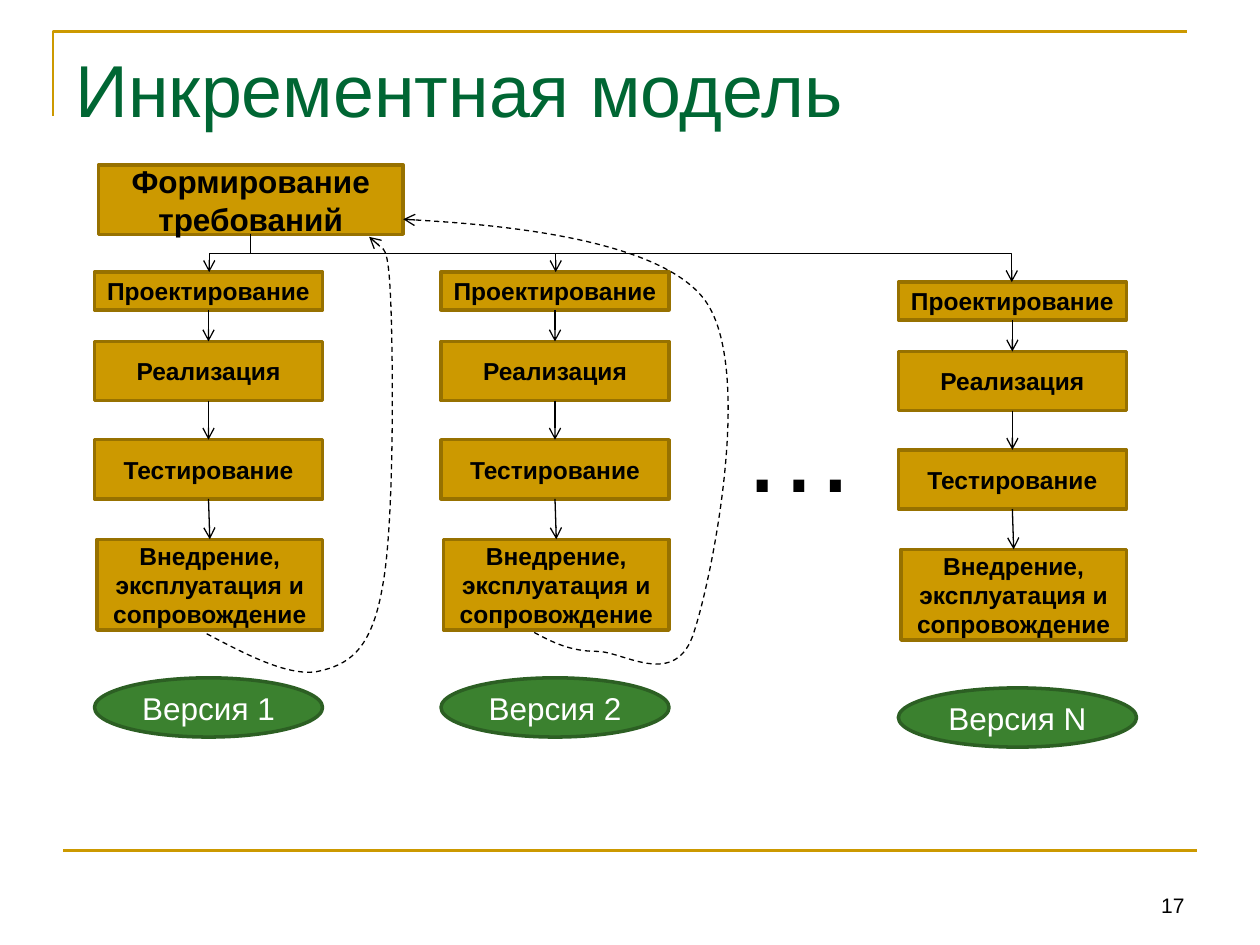
from itertools import pairwise
from lxml.etree import SubElement
from pptx import Presentation
from pptx.dml.color import RGBColor
from pptx.enum.dml import MSO_LINE
from pptx.enum.shapes import MSO_CONNECTOR, MSO_SHAPE
from pptx.enum.text import MSO_ANCHOR, MSO_AUTO_SIZE, PP_ALIGN
from pptx.oxml.ns import qn
from pptx.util import Inches, Pt

GOLD, EDGE, BLACK = "CC9900", "977100", "000000"
GREEN, RIM, WHITE = "3B812F", "2C5F23", "FFFFFF"

deck = Presentation()
deck.slide_width, deck.slide_height = Inches(10), Inches(7.5)
UNIT = deck.slide_width / 10  # grid of 10 columns by 7.5 rows
slide = deck.slides.add_slide(deck.slide_layouts[5])
shapes = slide.shapes


def grid(*nums):
    return [round(n * UNIT) for n in nums]


def paint(target, tone):
    target.rgb = RGBColor.from_string(tone)


def write(shape, text, size, tone=BLACK, bold=False,
          align=PP_ALIGN.LEFT, anchor=MSO_ANCHOR.TOP):
    frame = shape.text_frame
    frame.word_wrap, frame.auto_size = True, MSO_AUTO_SIZE.NONE
    frame.vertical_anchor = anchor
    frame.text = text
    para = frame.paragraphs[0]
    para.alignment = align
    font = para.runs[0].font
    font.name, font.size, font.bold = "Arial", Pt(size), bold
    paint(font.color, tone)


def stroke(shape, tone=BLACK, width=0.75, arrow=False, dash=False):
    paint(shape.line.color, tone)
    shape.line.width = Pt(width)
    if dash:
        shape.line.dash_style = MSO_LINE.DASH
    if arrow:
        SubElement(shape.line._get_or_add_ln(), qn("a:tailEnd"), type="arrow")


def block(box, text, size=14, kind=MSO_SHAPE.RECTANGLE,
          fill=GOLD, edge=EDGE, tone=BLACK, bold=True):
    shape = shapes.add_shape(kind, *grid(*box))
    shape.shadow.inherit = False
    shape.fill.solid()
    paint(shape.fill.fore_color, fill)
    stroke(shape, edge, 2)
    frame = shape.text_frame
    frame.margin_left = frame.margin_right = Inches(0.05)
    frame.margin_top = frame.margin_bottom = 0
    write(shape, text, size, tone, bold, PP_ALIGN.CENTER, MSO_ANCHOR.MIDDLE)


def link(x1, y1, x2, y2, kind=MSO_CONNECTOR.STRAIGHT,
         tone=BLACK, width=0.75, arrow=True):
    line = shapes.add_connector(kind, *grid(x1, y1, x2, y2))
    stroke(line, tone, width, arrow)
    SubElement(line._element.spPr, qn("a:effectLst"))
    return line


def elbow(x1, y1, x2, y2):
    """Down, across and down again: a turned elbow connector."""
    mx, my = (x1 + x2) / 2, (y1 + y2) / 2
    dx, dy = abs(x2 - x1) / 2, (y2 - y1) / 2
    line = link(mx - dy, my - dx, mx + dy, my + dx, MSO_CONNECTOR.ELBOW)
    xfrm = line._element.spPr.find(qn("a:xfrm"))
    xfrm.set("rot", str((270 if x2 > x1 else 90) * 60000))
    if x2 > x1:
        xfrm.set("flipH", "1")


def outline(points):
    start, *rest = [grid(*point) for point in points]
    pen = shapes.build_freeform(*start)
    pen.add_line_segments(rest, close=False)
    shape = pen.convert_to_shape()
    shape.shadow.inherit = False
    shape.fill.background()
    return shape


def curve(points):
    """Each three points after the first make one Bezier segment."""
    shape = outline(points)
    track = next(shape._element.iter(qn("a:path")))
    steps = track.findall(qn("a:lnTo"))
    for i in range(0, len(steps), 3):
        bend = SubElement(track, qn("a:cubicBezTo"))
        for step in steps[i:i + 3]:
            bend.append(step[0])
            track.remove(step)
    stroke(shape, arrow=True, dash=True)


def border(x, y, w, h):
    stroke(outline([(x, y + 0.67), (x, y), (x + w, y)]), GOLD, 1.5)
    link(x + 0.08, y + h, x + 0.08 + w, y + h,
         tone=GOLD, width=1.5, arrow=False)


def heading(x, y, w, h, text):
    title = shapes.title
    title.left, title.top, title.width, title.height = grid(x, y, w, h)
    write(title, text, 42, "006633")


def label(x, y, w, h, text, size, **look):
    write(shapes.add_textbox(*grid(x, y, w, h)), text, size, **look)


STEPS = [  # left, top, height, text
    (0, 0, 0.3, "Проектирование"),
    (0, 0.55, 0.47, "Реализация"),
    (0, 1.33, 0.47, "Тестирование"),
    (0.02, 2.12, 0.72, "Внедрение, эксплуатация и сопровождение"),
]


def version(x, y, w, name, wide):
    for left, top, high, text in STEPS:
        block((x + left, y + top, w - left, high), text)
    block((x, y + 3.22, wide, 0.47), name, 18, MSO_SHAPE.OVAL,
          GREEN, RIM, WHITE, False)
    for (l1, top, high, _), (l2, low, _, _) in pairwise(STEPS):
        link(x + (w + l1) / 2, y + top + high, x + (w + l2) / 2, y + low)


# Frame, title and page number
border(0.42, 0.25, 9, 6.5)
heading(0.5, 0.3, 9, 1.25, "Инкрементная модель")
label(7.17, 6.83, 2.33, 0.5, "17", 12,
      align=PP_ALIGN.RIGHT, anchor=MSO_ANCHOR.BOTTOM)

# Requirements and the versions built from them
block((0.78, 1.31, 2.42, 0.55), "Формирование требований", 18)
for x, y, name, wide in [(0.75, 2.16, "Версия 1", 1.81),
                         (3.5, 2.16, "Версия 2", 1.81),
                         (7.13, 2.24, "Версия N", 1.89)]:
    version(x, y, 1.81, name, wide)
label(5.79, 2.94, 2.36, 1.21, "…", 66)

# Links from the requirements
for x in (1.66, 4.41):
    elbow(1.99, 1.86, x, 2.16)
branch = link(4.19, 2.01, 8.03, 2.24, MSO_CONNECTOR.ELBOW)
branch._element.spPr.find(qn("a:prstGeom")).set("prst", "bentConnector2")

# Feedback loops
curve([(1.64, 5.03), (1.98, 5.21), (2.33, 5.39), (2.56, 5.32),
       (2.8, 5.26), (2.96, 5.12), (3.04, 4.63),
       (3.13, 4.13), (3.12, 2.82), (3.1, 2.37),
       (3.08, 1.91), (2.93, 1.88), (2.93, 1.88)])
curve([(4.24, 5.02), (4.39, 5.1), (4.53, 5.17), (4.74, 5.17),
       (4.95, 5.17), (5.37, 5.48), (5.51, 5.01),
       (5.66, 4.55), (5.98, 2.93), (5.6, 2.39),
       (5.21, 1.84), (3.2, 1.74), (3.2, 1.74)])

deck.save("out.pptx")
